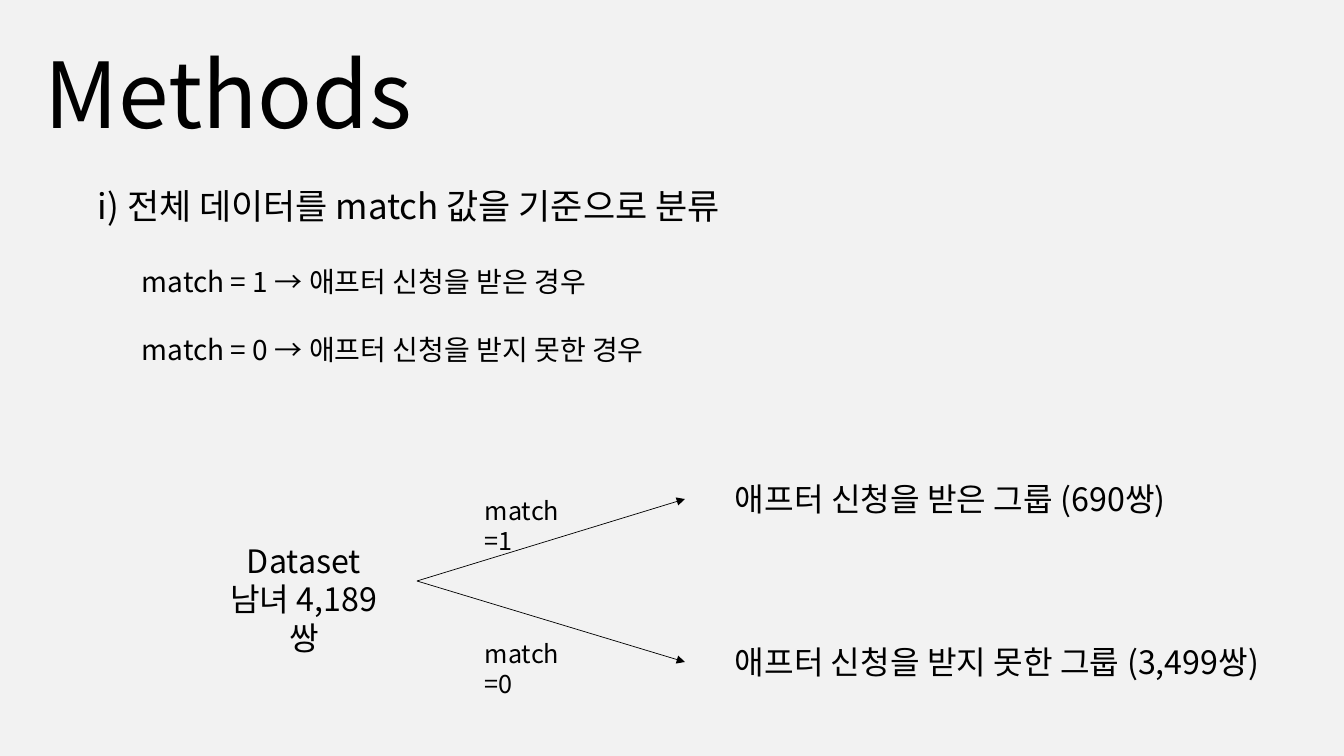
from dataclasses import dataclass
from typing import Any

from pptx import Presentation
from pptx.dml.color import RGBColor
from pptx.enum.shapes import MSO_CONNECTOR
from pptx.enum.text import MSO_AUTO_SIZE, PP_ALIGN
from pptx.oxml.ns import qn
from pptx.util import Pt
from lxml.etree import SubElement


@dataclass(frozen=True)
class Theme:
    font: str = "Noto Sans CJK KR"
    ink: str = "000000"
    paper: str = "F2F2F2"
    title: int = 65
    head: int = 25
    node: int = 23
    body: int = 20
    label: int = 18
    line: float = 0.5


def emu(px):
    return round(px * 914400 / 100.8)


@dataclass
class Deck:
    slide: Any
    theme: Theme

    def paint(self):
        fill = self.slide.background.fill
        fill.solid()
        fill.fore_color.rgb = RGBColor.from_string(self.theme.paper)

    def text(self, box, lines, size, align=PP_ALIGN.LEFT, gap=0):
        frame = self.slide.shapes.add_textbox(*map(emu, box)).text_frame
        frame.word_wrap = True
        frame.auto_size = MSO_AUTO_SIZE.SHAPE_TO_FIT_TEXT
        frame.text = "\n".join(lines)
        for index, para in enumerate(frame.paragraphs):
            para.alignment = align
            if index and gap:
                para.space_before = Pt(gap)
            for run in para.runs:
                font = run.font
                font.size = Pt(size)
                font.name = self.theme.font
                font.color.rgb = RGBColor.from_string(self.theme.ink)
                asian = SubElement(run._r.get_or_add_rPr(), qn("a:ea"))
                asian.set("typeface", self.theme.font)

    def arrow(self, start, end):
        link = self.slide.shapes.add_connector(
            MSO_CONNECTOR.STRAIGHT, *map(emu, start + end))
        link.line.color.rgb = RGBColor.from_string(self.theme.ink)
        link.line.width = Pt(self.theme.line)
        tip = SubElement(link.line._get_or_add_ln(), qn("a:tailEnd"))
        tip.set("type", "triangle")
        SubElement(link._element.spPr, qn("a:effectLst"))


show = Presentation()
show.slide_width, show.slide_height = emu(1344), emu(756)
theme = Theme()
deck = Deck(show.slides.add_slide(show.slide_layouts[6]), theme)
deck.paint()

deck.text((35, 33, 389, 120), ["Methods"], theme.title)
deck.text((207, 536, 194, 89), ["Dataset", "남녀 4,189쌍"],
          theme.node, PP_ALIGN.CENTER)
deck.text((88, 180, 667, 52), ["i) 전체 데이터를 match 값을 기준으로 분류"], theme.head)
deck.text((132, 260, 540, 112),
          ["match = 1 → 애프터 신청을 받은 경우",
           "match = 0 → 애프터 신청을 받지 못한 경우"],
          theme.body, gap=24)

root = (417, 581)
groups = [
    (499, 490, 460, "match =1", "애프터 신청을 받은 그룹 (690쌍)"),
    (662, 633, 556, "match =0", "애프터 신청을 받지 못한 그룹 (3,499쌍)"),
]
for tip, top, width, label, group in groups:
    deck.arrow(root, (685, tip))
    deck.text((475, top, 125, 40), [label], theme.label)
    deck.text((725, tip - 25, width, 49), [group], theme.node)

show.save("out.pptx")
